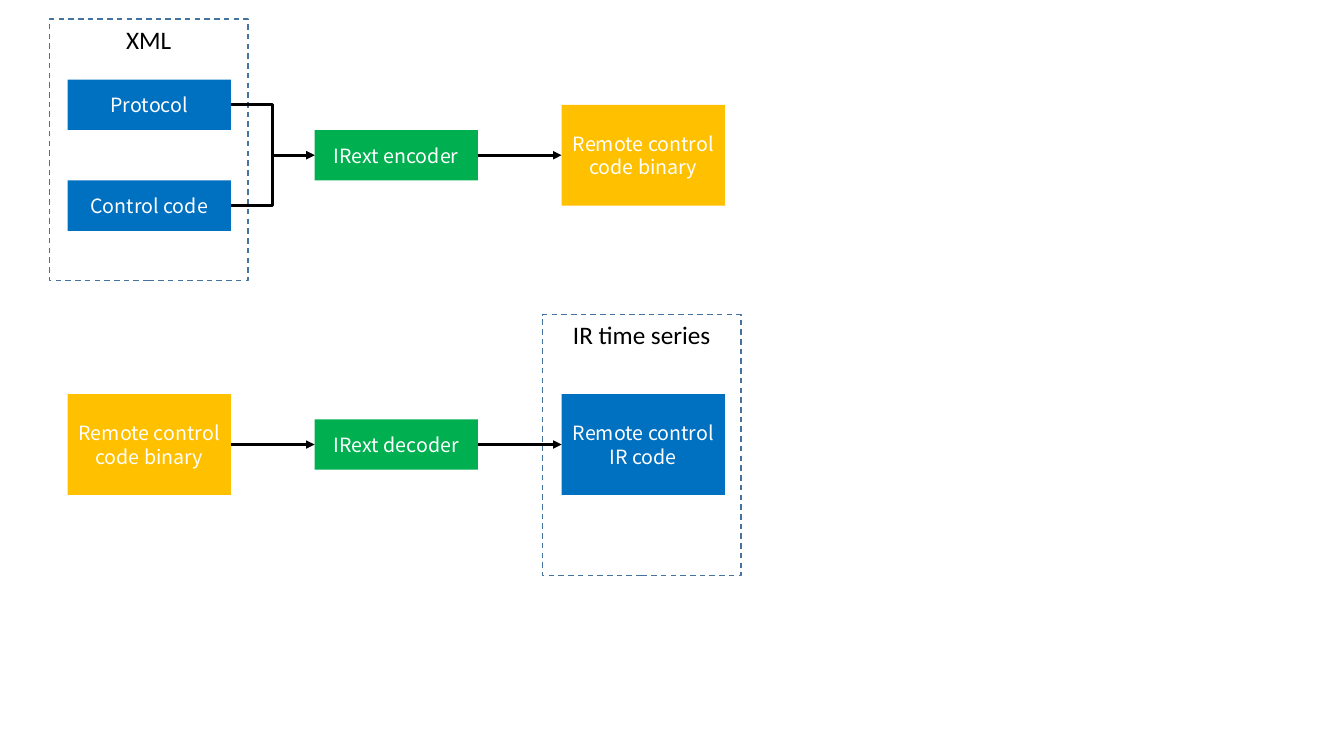
from pptx import Presentation
from pptx.dml.color import RGBColor
from pptx.enum.dml import MSO_LINE
from pptx.enum.shapes import MSO_CONNECTOR, MSO_SHAPE
from pptx.enum.text import MSO_ANCHOR, PP_ALIGN
from pptx.oxml.ns import qn
from pptx.util import Inches, Pt
from lxml.etree import SubElement

THEME = {
    "blue": RGBColor.from_string("0070C0"),
    "green": RGBColor.from_string("00B050"),
    "amber": RGBColor.from_string("FFC000"),
    "white": RGBColor.from_string("FFFFFF"),
    "black": RGBColor.from_string("000000"),
    "frame": RGBColor.from_string("43739E"),
    "group": {"name": "Calibri", "size": Pt(18)},
    "step": {"name": "Noto Sans CJK SC", "size": Pt(14)},
}

deck = Presentation()
deck.slide_width, deck.slide_height = Inches(13.33), Inches(7.5)
slide = deck.slides.add_slide(deck.slide_layouts[6])


def add_box(label, left, top, width, height, fill, font, ink, anchor):
    box = slide.shapes.add_shape(
        MSO_SHAPE.RECTANGLE, Inches(left), Inches(top), Inches(width), Inches(height))
    box.shadow.inherit = False
    box.fill.solid()
    box.fill.fore_color.rgb = THEME[fill]
    box.line.fill.background()
    box.text_frame.word_wrap = True
    box.text_frame.vertical_anchor = anchor
    paragraph = box.text_frame.paragraphs[0]
    paragraph.alignment = PP_ALIGN.CENTER
    run = paragraph.add_run()
    run.text = label
    for attribute, value in THEME[font].items():
        setattr(run.font, attribute, value)
    run.font.color.rgb = THEME[ink]
    return box


for label, left, top in [("IR time series", 5.38, 3.12), ("XML", 0.49, 0.19)]:
    group = add_box(label, left, top, 1.97, 2.59, "white", "group", "black", MSO_ANCHOR.TOP)
    for attribute, value in {"width": Pt(1), "dash_style": MSO_LINE.DASH}.items():
        setattr(group.line, attribute, value)
    group.line.color.rgb = THEME["frame"]

COLUMNS = [0.67 + 2.45 * column for column in range(3)]
ENCODE, DECODE = 1.54, 4.41
steps = {}
for key, label, column, middle, height, fill in [
    ("protocol", "Protocol", 0, ENCODE - 0.5, 0.5, "blue"),
    ("code", "Control code", 0, ENCODE + 0.5, 0.5, "blue"),
    ("encoder", "IRext encoder", 1, ENCODE, 0.5, "green"),
    ("encoded", "Remote control code binary", 2, ENCODE, 1, "amber"),
    ("binary", "Remote control code binary", 0, DECODE, 1, "amber"),
    ("decoder", "IRext decoder", 1, DECODE, 0.5, "green"),
    ("decoded", "Remote control IR code", 2, DECODE, 1, "blue"),
]:
    steps[key] = add_box(label, COLUMNS[column], middle - height / 2, 1.62, height,
                         fill, "step", "white", MSO_ANCHOR.MIDDLE)

RIGHT_SIDE, LEFT_SIDE = 3, 1
for source, target, route in [
    ("protocol", "encoder", MSO_CONNECTOR.ELBOW),
    ("code", "encoder", MSO_CONNECTOR.ELBOW),
    ("encoder", "encoded", MSO_CONNECTOR.STRAIGHT),
    ("binary", "decoder", MSO_CONNECTOR.STRAIGHT),
    ("decoder", "decoded", MSO_CONNECTOR.STRAIGHT),
]:
    arrow = slide.shapes.add_connector(route, 0, 0, 0, 0)
    arrow.begin_connect(steps[source], RIGHT_SIDE)
    arrow.end_connect(steps[target], LEFT_SIDE)
    arrow.line.width = Pt(2)
    arrow.line.color.rgb = THEME["black"]
    SubElement(arrow.line._get_or_add_ln(), qn("a:tailEnd"), type="triangle")
    SubElement(arrow._element.spPr, qn("a:effectLst"))

deck.save("out.pptx")
